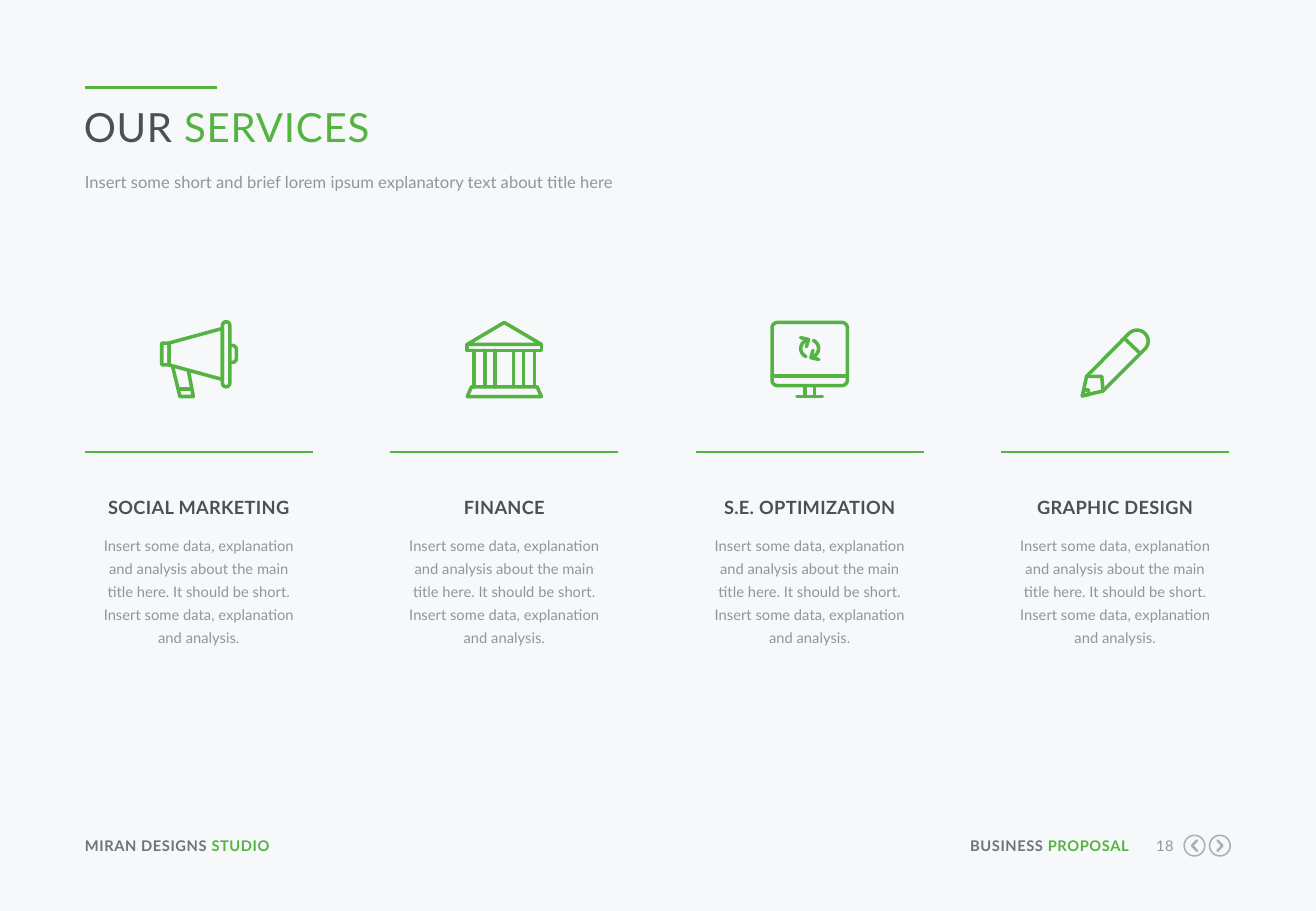
"""Build the "Our services" slide: title, four icon columns and a footer."""
import math
from dataclasses import dataclass

import pptx
import pptx.dml.color
import pptx.enum.shapes
import pptx.enum.text
import pptx.oxml.ns
import pptx.util
from lxml import etree

Point = tuple[float, float]
Contour = tuple[list[Point], bool]
Runs = list[tuple[str, str]]

COLORS = {"bg": "F6F8FA", "green": "55B441", "dark": "4B5050",
          "footer": "6E7378", "grey": "91969B", "button": "AAAFB4"}
FONT = "Lato"
ALIGN = pptx.enum.text.PP_ALIGN
WIDTH, HEIGHT = pptx.util.Inches(10.83), pptx.util.Inches(7.5)
MARGIN, PITCH, COLUMN = 6.46, 23.21, 17.3
TEXT_WIDTH, ICON_WIDTH, ICON_UNITS = 15.33, 6, 65
UNIT = WIDTH * ICON_WIDTH / 100 / ICON_UNITS
BODY = ("Insert some data, explanation and analysis about the main title here. "
        "It should be short. Insert some data, explanation and analysis.")


@dataclass
class Label:
    """Text with its frame in percent of the slide."""
    frame: tuple[float, float, float, float]
    runs: Runs
    size: float
    bold: bool = False
    spacing: float = 0
    align: ALIGN = ALIGN.LEFT
    line_spacing: object = None
    space_after: float = 0


@dataclass
class Service:
    """A service column: its heading and the strokes of its icon."""
    title: str
    icon: list[Contour]


def px(share: float) -> int:
    """Turn percent of the slide width into EMU."""
    return round(WIDTH * share / 100)


def py(share: float) -> int:
    """Turn percent of the slide height into EMU."""
    return round(HEIGHT * share / 100)


def rgb(name: str) -> pptx.dml.color.RGBColor:
    """Look up a palette colour."""
    return pptx.dml.color.RGBColor.from_string(COLORS[name])


def arc(cx: float, cy: float, r: float, start: float, end: float) -> list[Point]:
    """List points along an arc, in degrees clockwise from the right."""
    angles = [math.radians(start + (end - start) * i / 12) for i in range(13)]
    return [(cx + r * math.cos(a), cy + r * math.sin(a)) for a in angles]


def rect(x1: float, y1: float, x2: float, y2: float, r: float = 0) -> Contour:
    """Outline a rectangle with optional rounded corners."""
    if not r:
        return [(x1, y1), (x2, y1), (x2, y2), (x1, y2)], True
    corners = [(x2 - r, y1 + r, -90), (x2 - r, y2 - r, 0),
               (x1 + r, y2 - r, 90), (x1 + r, y1 + r, 180)]
    return [pt for cx, cy, a in corners for pt in arc(cx, cy, r, a, a + 90)], True


def turned(contour: Contour, cx: float, cy: float) -> Contour:
    """Turn a contour by half a circle about a centre."""
    return [(2 * cx - x, 2 * cy - y) for x, y in contour[0]], contour[1]


REFRESH: list[Contour] = [(arc(32.5, 23.5, 7.3, -65, 62), False),
                          ([(35.2, 25), (33.5, 31), (40, 32.5)], False)]
MEGAPHONE: list[Contour] = [
    rect(2, 19, 8, 37, 1), ([(8, 19), (52, 7), (52, 49), (8, 37)], True),
    rect(52, 1.5, 58, 55, 3),
    ([(58, 21), *arc(60, 24.5, 3.5, -90, 0), *arc(60, 31.5, 3.5, 0, 90), (58, 35)], False),
    ([(11, 38.5), (17, 63), (28, 63), (24, 42)], False), ([(16, 57), (26.5, 57)], False)]
BANK: list[Contour] = [
    ([(2, 20), (32.5, 2), (63, 20)], True), rect(2, 20, 63, 25),
    *[([(x, 25), (x, 55)], False) for x in (7.5, 16.5, 25, 40, 48.5, 57.5)],
    ([(5.5, 55), (59.5, 55), (63, 63), (2, 63)], True)]
MONITOR: list[Contour] = [
    rect(1.5, 2, 63.5, 54, 4.5), ([(1.5, 46), (63.5, 46)], False),
    *[([(x, 54), (x, 63)], False) for x in (28.5, 36.5)], ([(22, 63), (43, 63)], False),
    *REFRESH, *[turned(c, 32.5, 23.5) for c in REFRESH]]
PENCIL: list[Contour] = [
    ([(5.5, 62.5), (9, 46.5), *arc(50.5, 17.5, 9.2, -135, 45), (22.5, 58.5)], True),
    ([(40.5, 15.5), (52.5, 27)], False), ([(9, 46.5), (21.5, 46.5), (22.5, 58.5)], False),
    ([(5.5, 62.5), (7, 57.5), (10.5, 57.5), (10.5, 61.5)], True)]
SERVICES = [Service("SOCIAL MARKETING", MEGAPHONE), Service("FINANCE", BANK),
            Service("S.E. OPTIMIZATION", MONITOR), Service("GRAPHIC DESIGN", PENCIL)]


def add_label(slide: pptx.slide.Slide, label: Label) -> None:
    """Add a text box holding one paragraph."""
    x, y, w, h = label.frame
    tf = slide.shapes.add_textbox(px(x), py(y), px(w), py(h)).text_frame
    tf.word_wrap = True
    tf.margin_left = tf.margin_top = tf.margin_right = tf.margin_bottom = 0
    p = tf.paragraphs[0]
    p.alignment = label.align
    p.space_after = pptx.util.Pt(label.space_after)
    if label.line_spacing:
        p.line_spacing = label.line_spacing
    p.font.name, p.font.size, p.font.bold = FONT, pptx.util.Pt(label.size), label.bold
    p.font.color.rgb = rgb(label.runs[0][1])
    for text, color in label.runs:
        r = p.add_run()
        r.text = text
        if color != label.runs[0][1]:
            r.font.color.rgb = rgb(color)
        if label.spacing:
            r._r.get_or_add_rPr().set("spc", str(round(label.spacing * 100)))


def add_rule(slide: pptx.slide.Slide, x: float, y: float, w: float, weight: float) -> None:
    """Add a horizontal green rule."""
    line = slide.shapes.add_connector(
        pptx.enum.shapes.MSO_CONNECTOR.STRAIGHT, px(x), py(y), px(x + w), py(y))
    line.line.color.rgb = rgb("green")
    line.line.width = pptx.util.Pt(weight)
    etree.SubElement(line._element.spPr, pptx.oxml.ns.qn("a:effectLst"))


def style_outline(sp: pptx.shapes.autoshape.Shape, color: str, weight: float) -> None:
    """Give a shape a round-joined outline and no fill."""
    sp.shadow.inherit = False
    sp.fill.background()
    sp.line.color.rgb = rgb(color)
    sp.line.width = pptx.util.Pt(weight)
    ln = sp.line._get_or_add_ln()
    ln.set("cap", "rnd")
    etree.SubElement(ln, pptx.oxml.ns.qn("a:round"))


def add_strokes(slide: pptx.slide.Slide, contours: list[Contour], x: float, y: float,
                color: str, weight: float) -> None:
    """Draw contours on the icon grid, placed at a percent position."""
    def place(pt: Point) -> Point:
        return px(x) + pt[0] * UNIT, py(y) + pt[1] * UNIT

    builder = slide.shapes.build_freeform(*map(round, place(contours[0][0][0])), scale=1.0)
    for i, (points, closed) in enumerate(contours):
        if i:
            builder.move_to(*place(points[0]))
        builder.add_line_segments([place(pt) for pt in points[1:]], close=closed)
    style_outline(builder.convert_to_shape(), color, weight)


def add_button(slide: pptx.slide.Slide, x: float, direction: int) -> None:
    """Add a round button whose chevron points left (-1) or right (1)."""
    y, d = 92.83, px(1.57)
    sp = slide.shapes.add_shape(pptx.enum.shapes.MSO_SHAPE.OVAL,
                                px(x) - d // 2, py(y) - d // 2, d, d)
    style_outline(sp, "button", 0.9)
    chevron = [(-2 * direction, -4.3), (2 * direction, 0), (-2 * direction, 4.3)]
    add_strokes(slide, [(chevron, False)], x, y, "button", 1.5)


def main() -> None:
    """Compose and save the slide."""
    prs = pptx.Presentation()
    prs.slide_width, prs.slide_height = WIDTH, HEIGHT
    slide = prs.slides.add_slide(prs.slide_layouts[6])
    slide.background.fill.solid()
    slide.background.fill.fore_color.rgb = rgb("bg")

    add_rule(slide, MARGIN, 9.6, 10.06, 2.25)
    subtitle = "Insert some short and brief lorem ipsum explanatory text about title here"
    labels = [
        Label((6.37, 11.2, 87, 5.47), [("OUR ", "dark"), ("SERVICES", "green")],
              23.8, spacing=0.5),
        Label((MARGIN, 18.67, 87, 2.8), [(subtitle, "grey")], 9.8,
              line_spacing=pptx.util.Pt(13)),
        Label((MARGIN, 91.87, 19.5, 2), [("MIRAN DESIGNS ", "footer"), ("STUDIO", "green")],
              8.7, True, 0.3),
        Label((73.13, 91.87, 12.65, 2), [("BUSINESS ", "footer"), ("PROPOSAL", "green")],
              8.7, True, 0.3, ALIGN.RIGHT),
        Label((86.89, 91.87, 2.3, 2), [("18", "grey")], 8.7, False, 0.3, ALIGN.RIGHT)]
    for i, service in enumerate(SERVICES):
        x = MARGIN + i * PITCH
        text_x = x + (COLUMN - TEXT_WIDTH) / 2
        add_strokes(slide, service.icon, x + (COLUMN - ICON_WIDTH) / 2, 35.13, "green", 2.1)
        add_rule(slide, x, 49.6, COLUMN, 1)
        labels += [
            Label((text_x, 54.53, TEXT_WIDTH, 2.4), [(service.title, "dark")],
                  10.8, True, 0.2, ALIGN.CENTER),
            Label((text_x, 58.4, TEXT_WIDTH, 12.67), [(BODY, "grey")], 8.7,
                  align=ALIGN.CENTER, line_spacing=1.3, space_after=6.5)]
    for label in labels:
        add_label(slide, label)
    add_button(slide, 90.77, -1)
    add_button(slide, 92.7, 1)
    prs.save("out.pptx")


if __name__ == "__main__":
    main()
